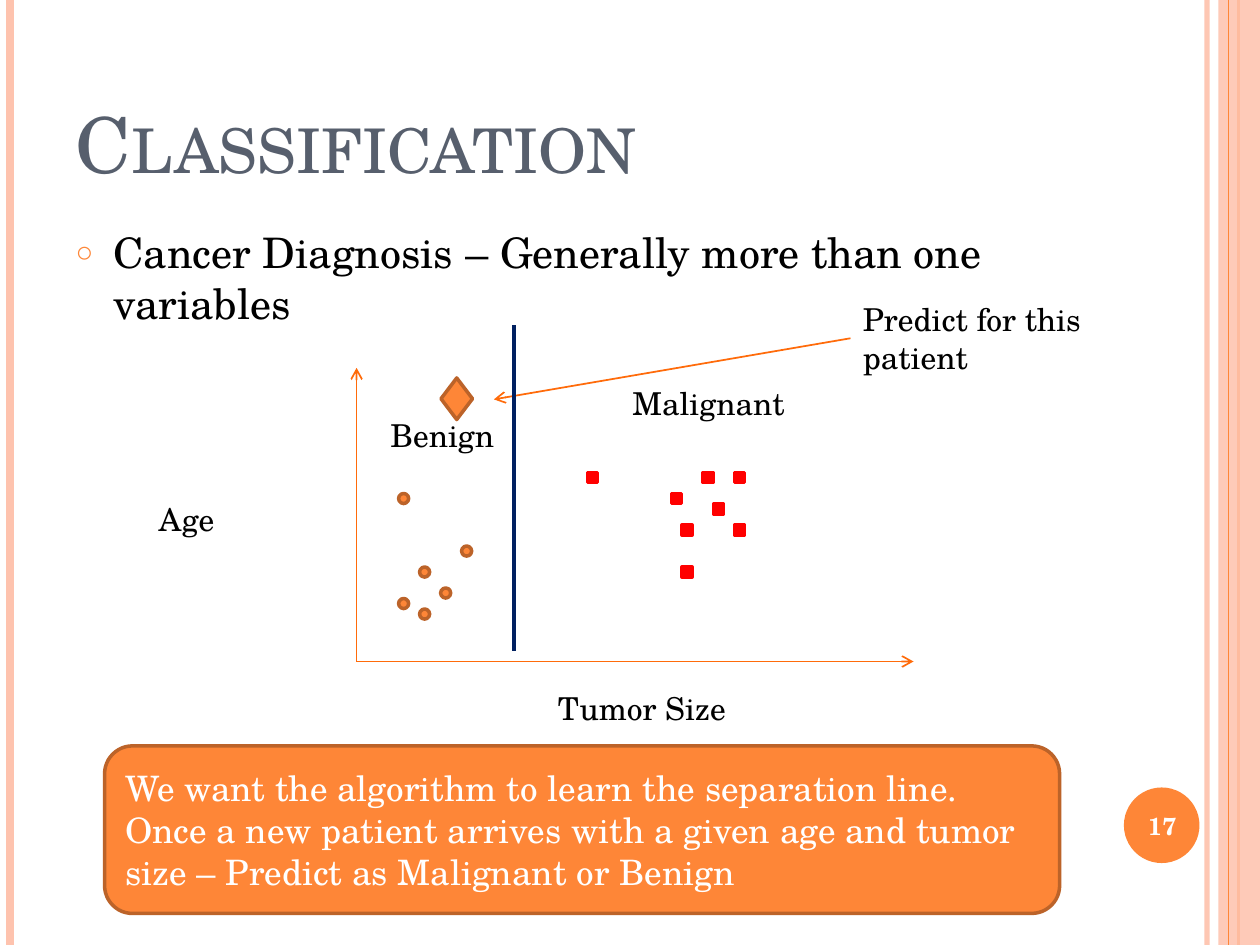
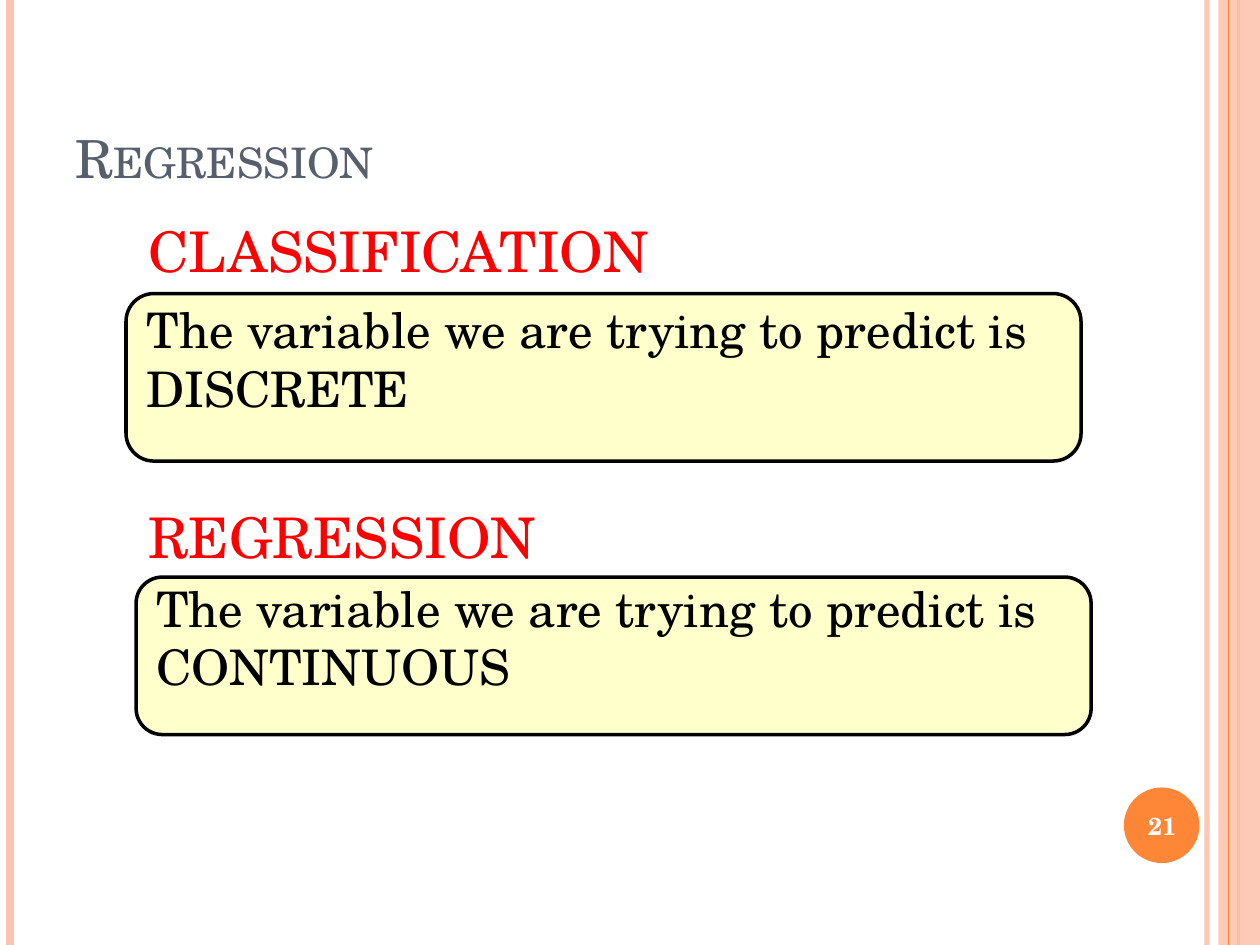
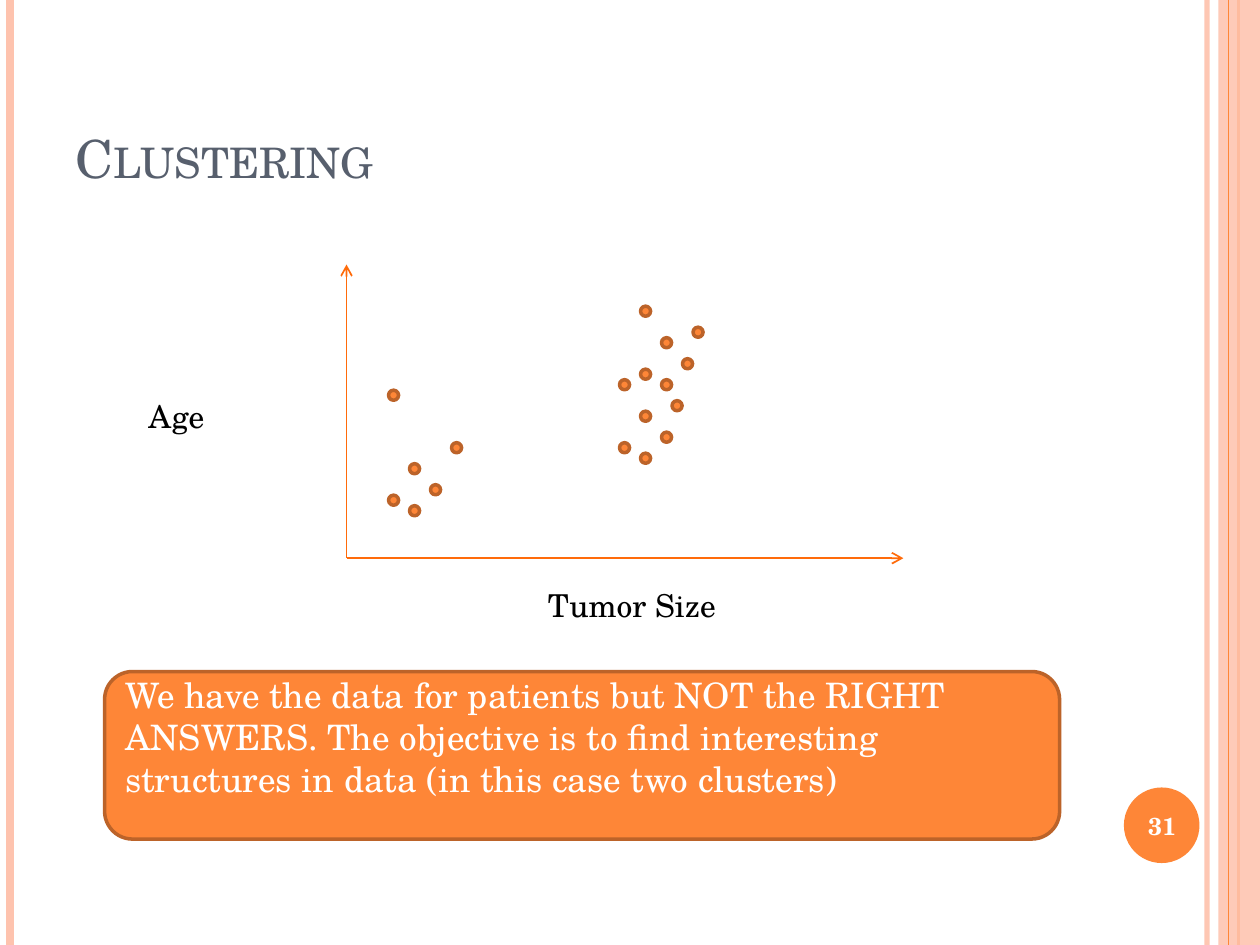
import pptx
import pptx.dml.color
import pptx.enum.shapes
import pptx.enum.text
import pptx.oxml.ns
import pptx.util
from lxml import etree

Inches = pptx.util.Inches
Pt = pptx.util.Pt
SHAPE = pptx.enum.shapes.MSO_SHAPE
ANCHOR = pptx.enum.text.MSO_ANCHOR
ALIGN = pptx.enum.text.PP_ALIGN
AUTO_SIZE = pptx.enum.text.MSO_AUTO_SIZE
qn = pptx.oxml.ns.qn

FONT = "TeX Gyre Schola"
COLORS = {
    "title": "575F6D", "text": "000000", "white": "FFFFFF",
    "orange": "FE8637", "outline": "BC6329", "axis": "FF6B0A",
    "band": "FEC3AE", "red": "FF0000", "navy": "002060", "cream": "FFFFCC",
}

TITLE_BOX = (0.5, 0.3, 8.17, 1.25)
BODY_BOX = (0.5, 1.75, 8.17, 0.83)
NUMBER_BOX = (8.89, 6.27, 0.67, 0.57)
NUMBER_DISC = (8.92, 6.25, 0.6, 0.6)
SIDE_STRIP = (9.67, 0, 0.33, 7.5)
# x, colour, width in points, opacity in percent
SIDE_LINES_BELOW = [(9.58, "band", 3, 93), (0.08, "band", 4.5, 100), (9.83, "orange", 1.5, 100)]
SIDE_LINES_ABOVE = [(9.75, "orange", 0.75, 100)]

# Data points sit on a grid of twelfths of an inch: (right of, above) the axes' origin
GRID = 1 / 12
MARKER_SIZE = 0.08
X_AXIS_LENGTH, Y_AXIS_LENGTH = 4.42, 2.33
AXIS_LABELS = [("Tumor Size", 1.5, 0.17, 1.54), ("Age", -1.67, -1.33, 0.65)]
BENIGN_POINTS = [(4, 6), (8, 7), (6, 9), (6, 5), (10, 11), (4, 16)]
MALIGNANT_POINTS = [(31, 9), (34, 15), (36, 18), (33, 18), (36, 13), (22, 18), (31, 13), (30, 16)]
SECOND_CLUSTER = [(26, 11), (30, 12), (28, 14), (28, 10), (31, 15), (26, 17),
                  (28, 18), (32, 19), (30, 21), (30, 17), (33, 22), (28, 24)]

CLASSIFICATION = {
    "title": "Classification", "title_size": 44, "number": 17,
    "bullet": "Cancer Diagnosis – Generally more than one variables",
    "origin": (2.83, 5.25),
    "labels": [("Malignant", 4.92, 3, 1.42), ("Benign", 3, 3.25, 1.03)],
    "summary": "We want the algorithm to learn the separation line. Once a new patient "
               "arrives with a given age and tumor size – Predict as Malignant or Benign",
}
REGRESSION = {
    "title": "Regression", "title_size": 30, "number": 21,
    "definitions": [
        ("CLASSIFICATION", (1.08, 1.67, 4.23, 0.64),
         "The variable we are trying to predict is DISCRETE", (1, 2.33, 7.58, 1.33)),
        ("REGRESSION", (1.08, 3.94, 3.31, 0.64),
         "The variable we are trying to predict is CONTINUOUS", (1.08, 4.58, 7.58, 1.25)),
    ],
}
CLUSTERING = {
    "title": "Clustering", "title_size": 30, "number": 31,
    "origin": (2.75, 4.43),
    "summary": "We have the data for patients but NOT the RIGHT ANSWERS. The objective is to find "
               "interesting structures in data (in this case two clusters)",
}


def rgb(color):
    return pptx.dml.color.RGBColor.from_string(COLORS[color])


def place(shape, box):
    shape.left, shape.top, shape.width, shape.height = map(Inches, box)


def set_opacity(shape, percent):
    for color in shape._element.spPr.iter(qn("a:srgbClr")):
        etree.SubElement(color, qn("a:alpha")).set("val", str(percent * 1000))


def write(shape, text, size, color="text", bold=None, align=ALIGN.LEFT):
    """Fill the shape with one paragraph and return that paragraph."""
    shape.text_frame.text = text
    paragraph = shape.text_frame.paragraphs[0]
    paragraph.alignment = align
    font = paragraph.runs[0].font
    font.name, font.size, font.bold = FONT, Pt(size), bold
    font.color.rgb = rgb(color)
    return paragraph


def add_shape(slide, kind, box, fill, outline=None):
    shape = slide.shapes.add_shape(kind, *map(Inches, box))
    shape.shadow.inherit = False
    shape.fill.solid()
    shape.fill.fore_color.rgb = rgb(fill)
    if outline:
        shape.line.color.rgb = rgb(outline)
        shape.line.width = Pt(2)
    else:
        shape.line.fill.background()
    return shape


def add_line(slide, start, end, color, width, arrow=False):
    line = slide.shapes.add_connector(
        pptx.enum.shapes.MSO_CONNECTOR.STRAIGHT, *map(Inches, start + end))
    line.line.color.rgb = rgb(color)
    line.line.width = Pt(width)
    properties = line._element.spPr
    if arrow:
        etree.SubElement(properties.find(qn("a:ln")), qn("a:tailEnd")).set("type", "arrow")
    etree.SubElement(properties, qn("a:effectLst"))
    return line


def add_label(slide, text, box, size=18, color="text", wrap=False):
    label = slide.shapes.add_textbox(*map(Inches, box))
    label.text_frame.word_wrap = wrap
    write(label, text, size, color)
    return label


def add_callout(slide, text, box, size, fill, outline, color, space_below=0):
    callout = add_shape(slide, SHAPE.ROUNDED_RECTANGLE, box, fill, outline)
    callout.text_frame.word_wrap = True
    callout.text_frame.vertical_anchor = ANCHOR.MIDDLE
    callout.text_frame.margin_bottom = Inches(0.05 + space_below)
    write(callout, text, size, color)


def add_markers(slide, origin, points, kind=SHAPE.OVAL, fill="orange", outline="outline"):
    for right, up in points:
        box = (origin[0] + right * GRID, origin[1] - up * GRID, MARKER_SIZE, MARKER_SIZE)
        add_shape(slide, kind, box, fill, outline)


def add_patient_plot(slide, origin):
    """Draw the age and tumor size axes with the benign patients."""
    x, y = origin
    add_line(slide, origin, (x + X_AXIS_LENGTH, y), "axis", 1, arrow=True)
    add_line(slide, origin, (x, y - Y_AXIS_LENGTH), "axis", 1, arrow=True)
    add_markers(slide, origin, BENIGN_POINTS)
    for text, right, down, width in AXIS_LABELS:
        add_label(slide, text, (x + right, y + down, width, 0.4))


def add_side_line(slide, x, color, width, opacity):
    line = add_line(slide, (x, 0), (x, 7.5), color, width)
    if opacity < 100:
        set_opacity(line, opacity)
    return line


def decorate_master(presentation, slide):
    """Draw the bands and number disc, then move them from the slide to the master."""
    bands = [add_side_line(slide, *line) for line in SIDE_LINES_BELOW]
    strip = add_shape(slide, SHAPE.RECTANGLE, SIDE_STRIP, "band")
    set_opacity(strip, 87)
    bands.append(strip)
    bands += [add_side_line(slide, *line) for line in SIDE_LINES_ABOVE]
    bands.append(add_shape(slide, SHAPE.OVAL, NUMBER_DISC, "orange"))
    tree = presentation.slide_master.shapes._spTree
    for shape_id, band in enumerate(bands, start=100):
        next(band._element.iter(qn("p:cNvPr"))).set("id", str(shape_id))
        tree.append(band._element)


def add_slide(presentation, content):
    layout = presentation.slide_layouts[1 if "bullet" in content else 5]
    slide = presentation.slides.add_slide(layout)
    title = slide.shapes.title
    place(title, TITLE_BOX)
    title.text_frame.vertical_anchor = ANCHOR.BOTTOM
    title.text_frame.auto_size = AUTO_SIZE.NONE
    paragraph = write(title, content["title"], content["title_size"], "title")
    paragraph.runs[0]._r.get_or_add_rPr().set("cap", "small")

    number = slide.shapes.add_textbox(*map(Inches, NUMBER_BOX))
    number.text_frame.word_wrap = True
    number.text_frame.vertical_anchor = ANCHOR.MIDDLE
    write(number, str(content["number"]), 14, "white", bold=True, align=ALIGN.CENTER)
    return slide


def add_bullet(slide, text):
    body = slide.placeholders[1]
    place(body, BODY_BOX)
    body.text_frame.auto_size = AUTO_SIZE.NONE
    paragraph = write(body, text, 24)
    paragraph.space_before = Pt(6)
    properties = paragraph._p.get_or_add_pPr()
    properties.set("marL", str(Inches(0.3)))
    properties.set("indent", str(Inches(-0.3)))
    color = etree.SubElement(properties, qn("a:buClr"))
    etree.SubElement(color, qn("a:srgbClr")).set("val", COLORS["orange"])
    etree.SubElement(properties, qn("a:buSzPct")).set("val", "70000")
    etree.SubElement(properties, qn("a:buChar")).set("char", "○")


def build_classification(slide):
    content = CLASSIFICATION
    add_bullet(slide, content["bullet"])
    add_patient_plot(slide, content["origin"])
    add_markers(slide, content["origin"], MALIGNANT_POINTS, SHAPE.RECTANGLE, "red", "red")
    for text, left, top, width in content["labels"]:
        add_label(slide, text, (left, top, width, 0.4))
    add_callout(slide, content["summary"], (0.83, 5.92, 7.58, 1.33), 20,
                "orange", "outline", "white")
    add_shape(slide, SHAPE.DIAMOND, (3.5, 3, 0.25, 0.33), "orange", "outline")
    prediction = add_label(slide, "Predict for this patient", (6.75, 2.33, 2.17, 0.71), wrap=True)
    pointer = add_line(slide, (6.75, 2.67), (3.92, 3.17), "axis", 1, arrow=True)
    pointer.begin_connect(prediction, 1)
    add_line(slide, (4.08, 2.58), (4.08, 5.17), "navy", 2)


def build_regression(slide):
    for heading, heading_box, definition, box in REGRESSION["definitions"]:
        add_callout(slide, definition, box, 28, "cream", "text", "text", space_below=0.3)
        add_label(slide, heading, heading_box, 32, "red")


def build_clustering(slide):
    content = CLUSTERING
    add_patient_plot(slide, content["origin"])
    add_markers(slide, content["origin"], SECOND_CLUSTER)
    add_callout(slide, content["summary"], (0.83, 5.33, 7.58, 1.33), 20,
                "orange", "outline", "white", space_below=0.3)


def main():
    presentation = pptx.Presentation()
    presentation.slide_width, presentation.slide_height = Inches(10), Inches(7.5)
    slides = [add_slide(presentation, content)
              for content in (CLASSIFICATION, REGRESSION, CLUSTERING)]
    decorate_master(presentation, slides[0])
    for slide, build in zip(slides, (build_classification, build_regression, build_clustering)):
        build(slide)
    presentation.save("out.pptx")


if __name__ == "__main__":
    main()
